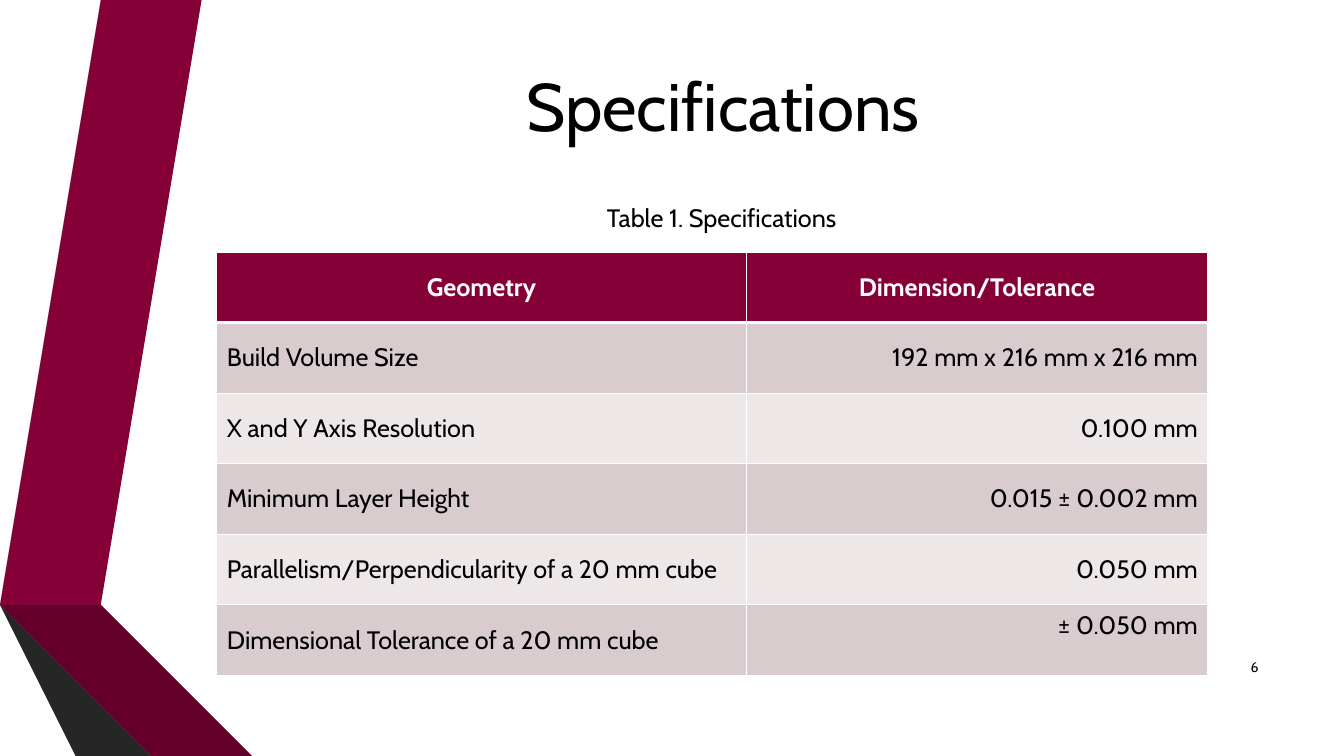
from dataclasses import dataclass

import lxml.etree
import pptx
import pptx.dml.color
import pptx.enum.text
import pptx.oxml.ns
import pptx.util

Inches = pptx.util.Inches
ALIGN = pptx.enum.text.PP_ALIGN
MIDDLE = pptx.enum.text.MSO_ANCHOR.MIDDLE

TITLE = "Specifications"
CAPTION = "Table 1. Specifications"
PAGE = "6"
HEADER = ("Geometry", "Dimension/Tolerance")
SPECS = [
    ("Build Volume Size", "192 mm x 216 mm x 216 mm"),
    ("X and Y Axis Resolution", "0.100 mm"),
    ("Minimum Layer Height", "0.015 ± 0.002 mm"),
    ("Parallelism/Perpendicularity of a 20 mm cube", "0.050 mm"),
    ("Dimensional Tolerance of a 20 mm cube", "± 0.050 mm"),
]


@dataclass(frozen=True)
class Theme:
    font: str = "Cabin"
    text: str = "000000"
    white: str = "FFFFFF"
    maroon: str = "850037"
    maroon_dark: str = "640029"
    maroon_edge: str = "42001B"
    gray: str = "595959"
    gray_dark: str = "404040"
    gray_edge: str = "262626"
    bands: tuple = ("D9CCCE", "EDE7E8")
    title_size: int = 48
    body_size: int = 18
    page_size: int = 10
    rule: int = 1
    header_rule: int = 3


THEME = Theme()

RIBBONS = [
    (THEME.maroon, [(0.5, 5.78), (0.77, 5.83), (1.73, 0), (1.45, 0)]),
    (THEME.gray, [(1.39, 0), (1.11, 0), (0.16, 5.73), (0.44, 5.77)]),
    (THEME.gray_edge, [(0.16, 5.73), (1.45, 7.5), (1.51, 7.5)]),
    (THEME.maroon_edge, [(0.5, 5.79), (2.08, 7.5), (2.14, 7.5)]),
    (THEME.maroon_dark, [(0.5, 5.78), (2.14, 7.5), (2.83, 7.5), (0.77, 5.83)]),
    (THEME.gray_dark, [(2.02, 7.5), (0.48, 5.83), (0.44, 5.77), (0.16, 5.73), (1.51, 7.5)]),
]

TITLE_BOX = (1.69, 0.46, 10.96, 1.16)
CAPTION_BOX = (5.92, 1.96, 2.5, 0.4)
PAGE_BOX = (11.98, 6.42, 0.6, 0.4)
TABLE_LEFT, TABLE_TOP = 2.15, 2.5
COLUMNS = (5.25, 4.58)
ROW_HEIGHT = 0.7
RAISED_MARGIN = 0.35


def rgb(color):
    return pptx.dml.color.RGBColor.from_string(color)


def fill_solid(target, color):
    target.fill.solid()
    target.fill.fore_color.rgb = rgb(color)


def write(tf, text, size, align, color=THEME.text, bold=False):
    p = tf.paragraphs[0]
    p.alignment = align
    r = p.add_run()
    r.text = text
    r.font.name = THEME.font
    r.font.size = pptx.util.Pt(size)
    r.font.bold = bold
    r.font.color.rgb = rgb(color)


def add_ribbon(slide, color, points):
    builder = slide.shapes.build_freeform(*points[0], scale=Inches(1))
    builder.add_line_segments(points[1:], close=True)
    sp = builder.convert_to_shape()
    fill_solid(sp, color)
    sp.line.fill.background()
    sp.shadow.inherit = False


def add_label(slide, box, text, size, align, anchor, wrap):
    tf = slide.shapes.add_textbox(*map(Inches, box)).text_frame
    tf.word_wrap = wrap
    tf.vertical_anchor = anchor
    write(tf, text, size, align)


def set_borders(cell, top, bottom):
    """Draw white cell rules, with widths in points; they must precede the fill."""
    qn = pptx.oxml.ns.qn
    widths = {"lnL": THEME.rule, "lnR": THEME.rule, "lnT": top, "lnB": bottom}
    props = cell._tc.get_or_add_tcPr()
    for i, (side, width) in enumerate(widths.items()):
        ln = lxml.etree.Element(qn(f"a:{side}"), w=str(pptx.util.Pt(width)))
        fill = lxml.etree.SubElement(ln, qn("a:solidFill"))
        lxml.etree.SubElement(fill, qn("a:srgbClr"), val=THEME.white)
        props.insert(i, ln)


def add_spec_table(slide):
    rows = [HEADER, *SPECS]
    box = (TABLE_LEFT, TABLE_TOP, sum(COLUMNS), ROW_HEIGHT * len(rows))
    table = slide.shapes.add_table(len(rows), len(COLUMNS), *map(Inches, box)).table
    for column, width in zip(table.columns, COLUMNS):
        column.width = Inches(width)
    for i, texts in enumerate(rows):
        table.rows[i].height = Inches(ROW_HEIGHT)
        header = i == 0
        color = THEME.white if header else THEME.text
        aligns = (ALIGN.CENTER, ALIGN.CENTER) if header else (ALIGN.LEFT, ALIGN.RIGHT)
        for j, text in enumerate(texts):
            cell = table.cell(i, j)
            cell.vertical_anchor = MIDDLE
            fill_solid(cell, THEME.maroon if header else THEME.bands[(i - 1) % 2])
            set_borders(cell, THEME.header_rule if i == 1 else THEME.rule,
                        THEME.header_rule if header else THEME.rule)
            write(cell.text_frame, text, THEME.body_size, aligns[j], color, header)
    # The last value sits higher than its row's middle
    table.cell(len(rows) - 1, 1).margin_bottom = Inches(RAISED_MARGIN)


def main():
    prs = pptx.Presentation()
    prs.slide_width, prs.slide_height = Inches(13.33), Inches(7.5)
    slide = prs.slides.add_slide(prs.slide_layouts.get_by_name("Title Only"))
    fill_solid(slide.background, THEME.white)
    for color, points in RIBBONS:
        add_ribbon(slide, color, points)

    title = slide.shapes.title
    title.left, title.top, title.width, title.height = map(Inches, TITLE_BOX)
    title.text_frame.vertical_anchor = MIDDLE
    write(title.text_frame, TITLE, THEME.title_size, ALIGN.CENTER)

    add_label(slide, PAGE_BOX, PAGE, THEME.page_size, ALIGN.RIGHT, MIDDLE, True)
    add_label(slide, CAPTION_BOX, CAPTION, THEME.body_size, ALIGN.LEFT,
              pptx.enum.text.MSO_ANCHOR.TOP, False)
    add_spec_table(slide)
    prs.save("out.pptx")


if __name__ == "__main__":
    main()
